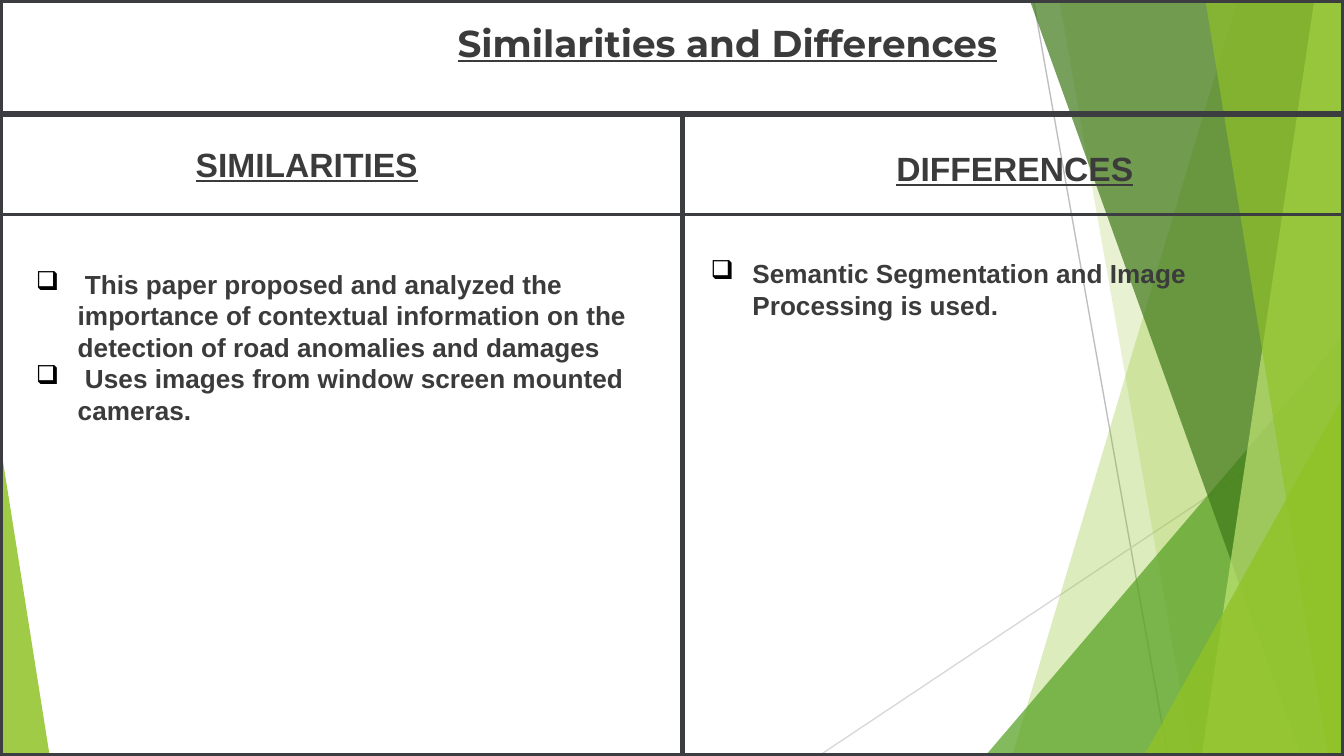
from dataclasses import dataclass

from lxml.etree import SubElement
from pptx import Presentation
from pptx.dml.color import RGBColor
from pptx.enum.shapes import MSO_CONNECTOR, MSO_SHAPE
from pptx.enum.text import MSO_AUTO_SIZE, PP_ALIGN
from pptx.oxml.ns import qn
from pptx.util import Cm, Pt


@dataclass(frozen=True)
class Theme:
    """Colours, fonts, type sizes and line widths of the slide."""

    ink: str = "3B3B3B"
    rule: str = "3C3D40"
    bullet: str = "000000"
    lime: str = "90C226"
    pale_lime: str = "C0E474"
    leaf: str = "54A021"
    forest: str = "3F7819"
    silver: str = "BFBFBF"
    mist: str = "D9D9D9"
    title_font: str = "Montserrat"
    body_font: str = "Arial"
    title_size: int = 20
    heading_size: int = 18
    body_size: int = 14
    hairline: float = 0.75
    thin: float = 1.5
    thick: float = 3


THEME = Theme()
WIDTH, HEIGHT = 25.4, 14.29
HEADER_BOTTOM, HEADING_BOTTOM, DIVIDER = 2.16, 4.06, 12.9
BULLET_INDENT = 0.79


def add_rule(page, start, end, color, width):
    """Draw a straight line between two points."""
    line = page.shapes.add_connector(
        MSO_CONNECTOR.STRAIGHT, *(Cm(value) for value in (*start, *end))
    )
    line.line.color.rgb = RGBColor.from_string(color)
    line.line.width = Pt(width)
    SubElement(line._element.spPr, qn("a:effectLst"))


def paint(shape, color, opacity):
    """Give a shape a translucent fill with no outline or shadow."""
    shape.shadow.inherit = False
    shape.line.fill.background()
    shape.fill.solid()
    shape.fill.fore_color.rgb = RGBColor.from_string(color)
    fill_color = shape._element.spPr.find(".//" + qn("a:srgbClr"))
    SubElement(fill_color, qn("a:alpha"), val=str(opacity * 1000))


def add_facet(page, top_x, bottom_x, color, opacity):
    """Fill the area from a slanted edge to the right side of the page."""
    builder = page.shapes.build_freeform(Cm(top_x), 0)
    corners = [(WIDTH, 0), (WIDTH, HEIGHT), (bottom_x, HEIGHT)]
    builder.add_line_segments([(Cm(x), Cm(y)) for x, y in corners], close=True)
    paint(builder.convert_to_shape(), color, opacity)


def add_triangle(page, left, top, width, apex, color, opacity):
    """Stand a right triangle on the bottom edge of the page."""
    shape = page.shapes.add_shape(
        MSO_SHAPE.ISOSCELES_TRIANGLE,
        Cm(left), Cm(top), Cm(width), Cm(HEIGHT - top),
    )
    shape.adjustments[0] = apex
    paint(shape, color, opacity)


def add_frame(page):
    """Outline the whole page."""
    frame = page.shapes.add_shape(MSO_SHAPE.RECTANGLE, 0, 0, Cm(WIDTH), Cm(HEIGHT))
    frame.shadow.inherit = False
    frame.fill.background()
    frame.line.color.rgb = RGBColor.from_string(THEME.rule)
    frame.line.width = Pt(THEME.thick)


def add_bullet(para):
    """Give a paragraph a hanging square bullet."""
    properties = para._p.get_or_add_pPr()
    properties.set("marL", str(Cm(BULLET_INDENT)))
    properties.set("indent", str(-Cm(BULLET_INDENT)))
    color = SubElement(properties, qn("a:buClr"))
    SubElement(color, qn("a:srgbClr"), val=THEME.bullet)
    SubElement(properties, qn("a:buChar"), char="❑")


def add_text(page, area, lines, font_format, align=PP_ALIGN.LEFT, bulleted=False):
    """Add a wrapped text box with one paragraph per line."""
    box = page.shapes.add_textbox(*(Cm(value) for value in area))
    frame = box.text_frame
    frame.word_wrap = True
    frame.auto_size = MSO_AUTO_SIZE.SHAPE_TO_FIT_TEXT
    for index, line in enumerate(lines):
        para = frame.add_paragraph() if index else frame.paragraphs[0]
        para.alignment = align
        if bulleted:
            add_bullet(para)
        span = para.add_run()
        span.text = line
        for name, value in font_format.items():
            setattr(span.font, name, value)
        span.font.color.rgb = RGBColor.from_string(THEME.ink)
    return frame


def add_backdrop(page):
    """Layer the green facets and fine lines behind the content."""
    add_rule(page, (19.53, 0), (22.07, HEIGHT), THEME.silver, THEME.hairline)
    add_rule(page, (WIDTH, 7.67), (15.47, HEIGHT), THEME.mist, THEME.hairline)
    layers = [
        (add_facet, 23.39, 19.13, THEME.lime, 30),
        (add_facet, 20.02, 22.53, THEME.lime, 20),
        (add_triangle, 18.62, 6.35, 6.78, 1, THEME.leaf, 72),
        (add_facet, 19.46, 24.59, THEME.forest, 70),
        (add_facet, 24.84, 22.71, THEME.pale_lime, 70),
        (add_facet, 22.78, 25.1, THEME.lime, 65),
        (add_triangle, 21.62, 7.47, 3.78, 1, THEME.lime, 80),
        (add_triangle, 0, 8.36, 0.94, 0, THEME.lime, 85),
    ]
    for draw, *values in layers:
        draw(page, *values)


def add_grid(page):
    """Divide the page into a header and two headed columns."""
    add_frame(page)
    rules = [
        ((DIVIDER, HEADER_BOTTOM), (DIVIDER, HEIGHT), THEME.thick),
        ((0, HEADER_BOTTOM), (WIDTH, HEADER_BOTTOM), THEME.thick),
        ((0, HEADING_BOTTOM), (WIDTH, HEADING_BOTTOM), THEME.thin),
    ]
    for start, end, width in rules:
        add_rule(page, start, end, THEME.rule, width)


def add_content(page):
    """Write the title, column headings and bullet lists."""
    body = {"name": THEME.body_font, "size": Pt(THEME.body_size), "bold": True}
    heading = {**body, "size": Pt(THEME.heading_size), "underline": True}
    title = {**heading, "name": THEME.title_font, "size": Pt(THEME.title_size)}

    title_frame = add_text(
        page, (3.07, 0.28, 21.36, 1.3), ["Similarities and Differences"],
        title, PP_ALIGN.CENTER,
    )
    margins = {"margin_left": 0.18, "margin_right": 0.18,
               "margin_top": 0.1, "margin_bottom": 0.1}
    for name, value in margins.items():
        setattr(title_frame, name, Cm(value))
    title_frame.auto_size = MSO_AUTO_SIZE.NONE

    add_text(page, (3.45, 2.59, 6.4, 1.02), ["SIMILARITIES"], heading)
    add_text(page, (13.54, 2.67, 11.28, 1.02), ["DIFFERENCES"],
             heading, PP_ALIGN.CENTER)
    similarities = [
        " This paper proposed and analyzed the importance of contextual "
        "information on the detection of road anomalies and damages",
        " Uses images from window screen mounted cameras.",
    ]
    differences = ["Semantic Segmentation and Image Processing is used."]
    add_text(page, (0.43, 4.95, 11.68, 3.8), similarities, body, bulleted=True)
    add_text(page, (13.18, 4.75, 11.63, 1.45), differences, body, bulleted=True)


def main():
    """Build and save the comparison slide."""
    deck = Presentation()
    deck.slide_width, deck.slide_height = Cm(WIDTH), Cm(HEIGHT)
    page = deck.slides.add_slide(deck.slide_layouts[6])
    add_backdrop(page)
    add_grid(page)
    add_content(page)
    deck.save("out.pptx")


if __name__ == "__main__":
    main()
